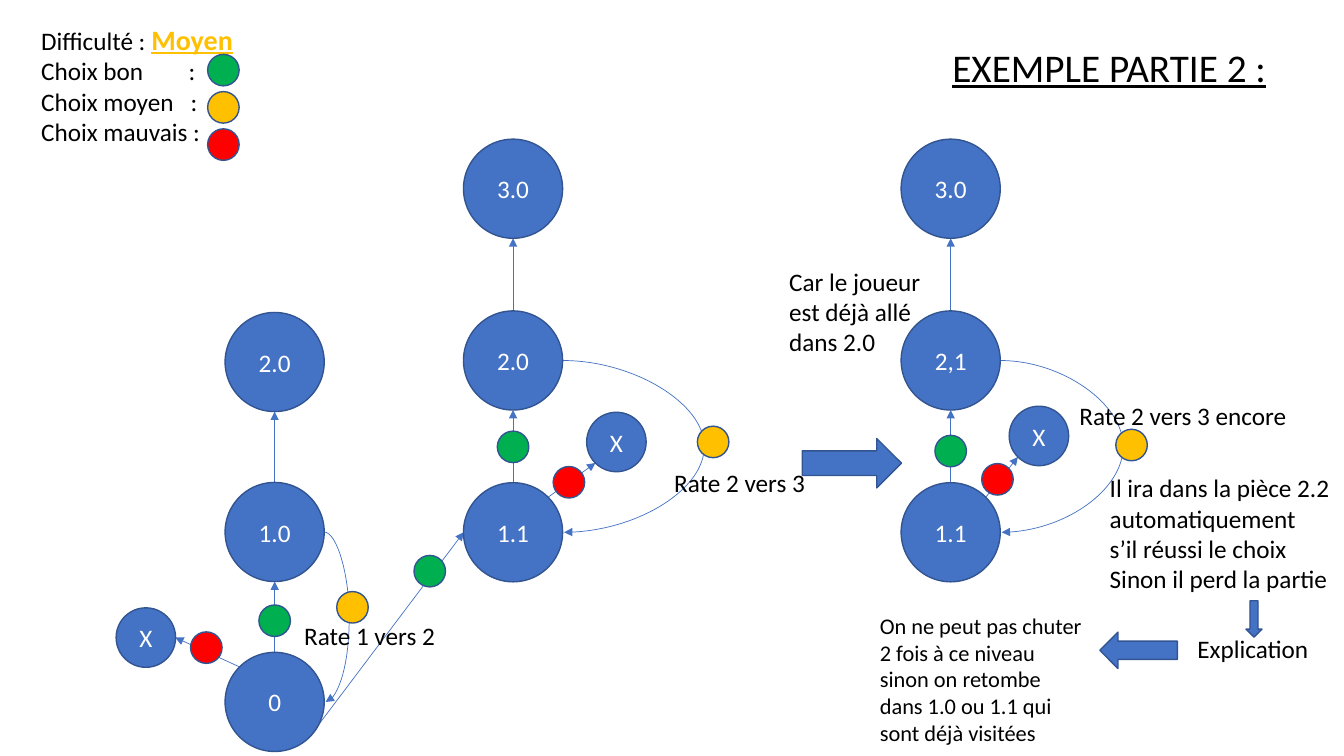
from lxml.etree import SubElement
from pptx import Presentation
from pptx.dml.color import RGBColor
from pptx.enum.shapes import MSO_CONNECTOR, MSO_SHAPE
from pptx.enum.text import MSO_ANCHOR, MSO_AUTO_SIZE, PP_ALIGN
from pptx.oxml.ns import qn
from pptx.util import Pt

BLUE = RGBColor(0x44, 0x72, 0xC4)
EDGE = RGBColor(0x32, 0x54, 0x91)
GREEN = RGBColor(0x00, 0xB0, 0x50)
AMBER = RGBColor(0xFF, 0xC0, 0x00)
RED = RGBColor(0xFF, 0x00, 0x00)
BLACK = RGBColor(0x00, 0x00, 0x00)
WHITE = RGBColor(0xFF, 0xFF, 0xFF)
NODE, LOSS, DOT = 70.8, 42.5, 22.5
RAD = NODE / 2
DIAG = 25


def write(para, text, size=18, color=BLACK, bold=False, under=False):
    """Add one run to a paragraph."""
    run = para.add_run()
    run.text = text
    font = run.font
    font.name, font.size, font.bold, font.underline = "Calibri", Pt(size), bold, under
    font.color.rgb = color


def shape(slide, kind, left, top, width, height, fill=BLUE):
    """Add a filled and outlined preset shape."""
    item = slide.shapes.add_shape(kind, Pt(left), Pt(top), Pt(width), Pt(height))
    item.shadow.inherit = False
    item.fill.solid()
    item.fill.fore_color.rgb = fill
    item.line.color.rgb = EDGE
    item.line.width = Pt(1)
    return item


def disc(slide, x, y, size, fill=BLUE, label=None):
    """Add a circle around a centre, with an optional label."""
    item = shape(slide, MSO_SHAPE.OVAL, x - size / 2, y - size / 2, size, size, fill)
    if label:
        frame = item.text_frame
        frame.vertical_anchor = MSO_ANCHOR.MIDDLE
        para = frame.paragraphs[0]
        para.alignment = PP_ALIGN.CENTER
        write(para, label, color=WHITE)


def arrow(slide, x, y, to_x, to_y, bulge=None):
    """Add a thin arrow, curved outwards when a bulge is given."""
    kind = MSO_CONNECTOR.CURVE if bulge else MSO_CONNECTOR.STRAIGHT
    link = slide.shapes.add_connector(kind, Pt(x), Pt(y), Pt(to_x), Pt(to_y))
    link.line.color.rgb = BLUE
    link.line.width = Pt(0.5)
    props = link._element.spPr
    SubElement(props.find(qn("a:ln")), qn("a:tailEnd"), type="triangle")
    SubElement(props, qn("a:effectLst"))
    if bulge:
        value = round(bulge / (to_x - x) * 100000)
        guides = props.find(qn("a:prstGeom")).find(qn("a:avLst"))
        SubElement(guides, qn("a:gd"), name="adj1", fmla=f"val {value}")


def note(slide, left, top, width, height, lines, size=18):
    """Add a text box with one paragraph per line and return its frame."""
    box = slide.shapes.add_textbox(Pt(left), Pt(top), Pt(width), Pt(height))
    frame = box.text_frame
    frame.word_wrap = True
    frame.auto_size = MSO_AUTO_SIZE.SHAPE_TO_FIT_TEXT
    for i, line in enumerate(lines):
        para = frame.add_paragraph() if i else frame.paragraphs[0]
        write(para, line, size)
    return frame


def tower(slide, left, top, step, labels, good, fair, bad, loss, tip, bulge):
    """Draw a climb of rooms; choice offsets start at the foot's centre."""
    x = left + RAD
    rows = [top + RAD + i * step for i in range(len(labels))]
    foot = rows[-1]
    for high, low in zip(rows, rows[1:]):
        arrow(slide, x, low - RAD, x, high + RAD)
    side = DIAG if loss[0] > 0 else -DIAG
    lost_x, lost_y = x + loss[0], foot + loss[1]
    arrow(slide, x + side, foot - DIAG, lost_x + tip[0], lost_y + tip[1])
    arrow(slide, x + RAD, rows[-2], x + RAD + 1, foot, bulge)
    for y, label in zip(rows, labels):
        disc(slide, x, y, NODE, label=label)
    disc(slide, lost_x, lost_y, LOSS, label="X")
    for (dx, dy), fill in ((good, GREEN), (fair, AMBER), (bad, RED)):
        disc(slide, x + dx, foot + dy, DOT, fill)


def legend(slide, left, top, width, height):
    """Draw the difficulty key with its three dots."""
    lines = ["Difficulté : ", "Choix bon        :", "Choix moyen   :", "Choix mauvais :"]
    frame = note(slide, left, top, width, height, lines)
    write(frame.paragraphs[0], "Moyen", 20, AMBER, True, True)
    for i, fill in enumerate((GREEN, AMBER, RED)):
        disc(slide, left + 137.3, top + 37.9 + i * 26.6, DOT, fill)


def title(slide, left, top, width, height):
    """Write the underlined heading."""
    frame = note(slide, left, top, width, height, [])
    write(frame.paragraphs[0], "EXEMPLE PARTIE 2 :", 28, under=True)


def bridge(slide, left, top, width, height):
    """Link the first foot to the second tower with a good choice."""
    arrow(slide, left, top + height, left + width, top)
    disc(slide, left + 86, top + 27.8, DOT, GREEN)


def reason(slide, left, top):
    """Draw the explanation at the lower right with its block arrows."""
    note(slide, left + 164.2, top, 232.6, 94.3, [
        "Il ira dans la pièce 2.2 automatiquement",
        "s’il réussi le choix", "Sinon il perd la partie"])
    note(slide, left, top + 99.4, 160.6, 104.4, [
        "On ne peut pas chuter 2 fois à ce niveau sinon on retombe "
        "dans 1.0 ou 1.1 qui sont déjà visitées"], 16)
    note(slide, left + 226.8, top + 114.5, 102.2, 28.8, ["Explication"])
    shape(slide, MSO_SHAPE.DOWN_ARROW, left + 268.6, top + 95, 11.5, 26)
    shape(slide, MSO_SHAPE.LEFT_ARROW, left + 164.2, top + 117.4, 55.4, 26)


def main():
    """Build the slide and save it."""
    deck = Presentation()
    deck.slide_width, deck.slide_height = Pt(960), Pt(540)
    slide = deck.slides.add_slide(deck.slide_layouts[6])
    title(slide, 673.2, 27.4, 251.3, 41)
    bridge(slide, 221, 380.2, 110.2, 146.2)
    tower(slide, 160.8, 223.2, 121.4, ["2.0", "1.0", "0"],
          (0, -58), (55.6, -67.6), (-48.8, -38.8), (-92, -46), (21, 0), 18)
    tower(slide, 331.1, 99.4, 122.7, ["3.0", "2.0", "1.1"],
          (0, -61), (142.9, -64.5), (39.9, -35.7), (73.8, -64.5), (-15, 15), 102)
    tower(slide, 643.7, 99.4, 122.7, ["3.0", "2,1", "1.1"],
          (0, -58), (129.2, -62.3), (33.4, -37.8), (63, -68.8), (-15, 15), 88.5)
    legend(slide, 22.3, 12.2, 164.9, 97.2)
    shape(slide, MSO_SHAPE.RIGHT_ARROW, 573.1, 313.2, 70.8, 35.3)
    note(slide, 210.2, 439.2, 116.6, 28.8, ["Rate 1 vers 2"])
    note(slide, 474.5, 330.5, 116.6, 28.8, ["Rate 2 vers 3"])
    note(slide, 763.9, 282.2, 168.5, 28.8, ["Rate 2 vers 3 encore"])
    note(slide, 556.6, 186.5, 116.6, 72.7, ["Car le joueur est déjà allé dans 2.0"])
    reason(slide, 621.4, 334.1)
    deck.save("out.pptx")


if __name__ == "__main__":
    main()
